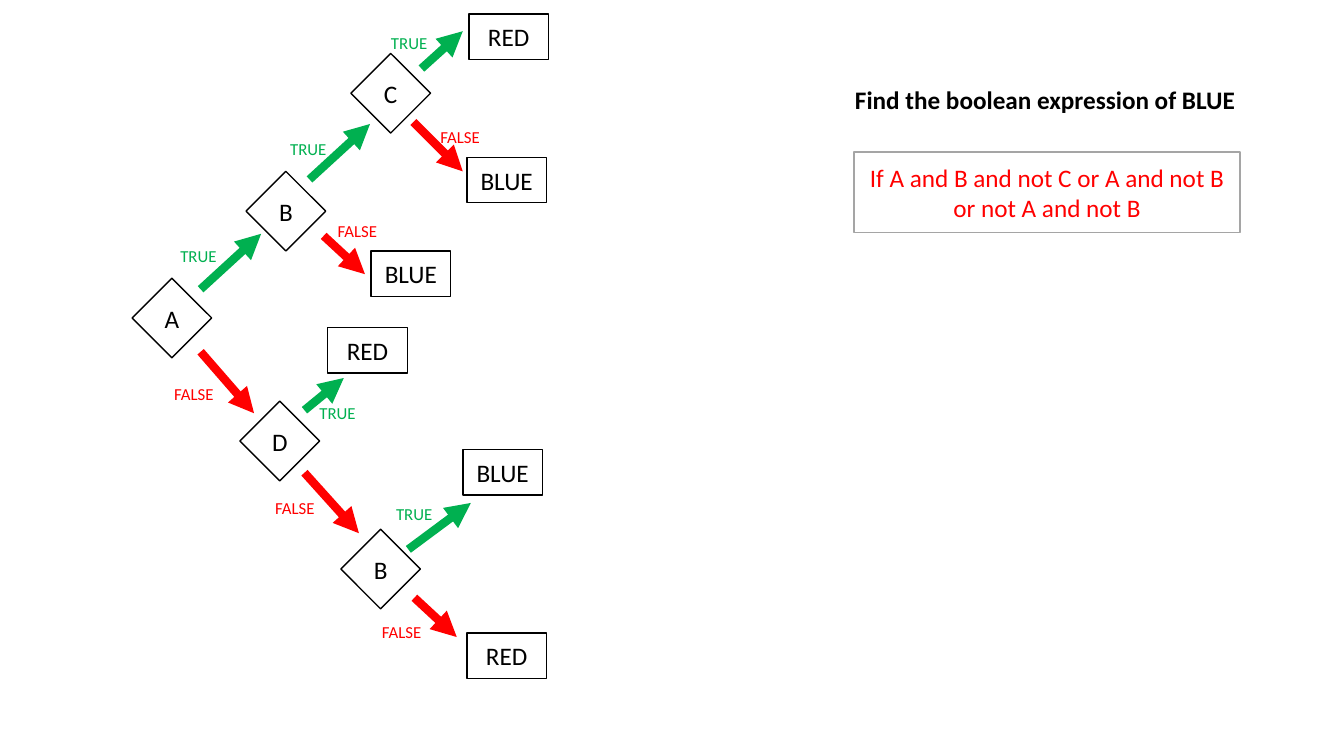
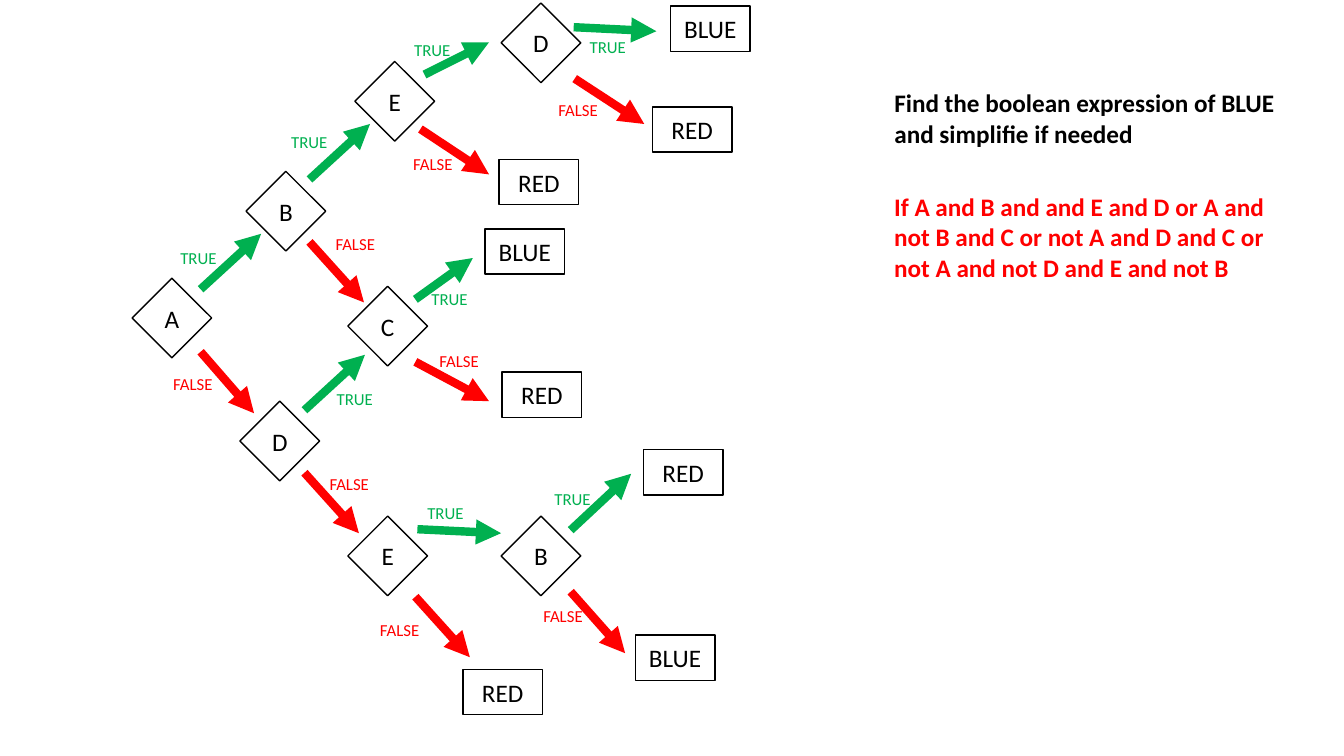
from lxml import etree
from pptx import Presentation
from pptx.dml.color import RGBColor
from pptx.enum.shapes import MSO_CONNECTOR, MSO_SHAPE
from pptx.enum.text import MSO_ANCHOR, MSO_AUTO_SIZE, PP_ALIGN
from pptx.oxml.ns import qn
from pptx.util import Inches, Pt

DIAMOND, BOX = MSO_SHAPE.FLOWCHART_DECISION, MSO_SHAPE.RECTANGLE
STRAIGHT = MSO_CONNECTOR.STRAIGHT
LEFT, CENTER = PP_ALIGN.LEFT, PP_ALIGN.CENTER
TOP, MIDDLE = MSO_ANCHOR.TOP, MSO_ANCHOR.MIDDLE
TITLE_ONLY = 5

FONT = "Calibri"
COLORS = {"ink": "000000", "true": "00B050", "false": "FF0000",
          "answer": "FF0000", "paper": "FFFFFF", "frame": "A5A5A5"}
DIAMOND_SIZE = (0.79, 0.79)
BOX_SIZE = (0.79, 0.45)
LABEL_SIZES = {"true": (0.57, 0.3), "false": (0.66, 0.3)}

# The start of the tree, common to both exercises
TRUNK_DECISIONS = [("A", 1.31, 2.76), ("B", 2.44, 1.7), ("D", 2.38, 3.98)]
A_TRUE = (1.99, 2.87, 2.59, 2.32)
A_FALSE = (1.99, 3.49, 2.52, 4.1)
B_TRUE = (3.07, 1.78, 3.67, 1.23)
D_FALSE = (3.02, 4.69, 3.56, 5.29)

# decisions and results: text, left, top
# branches: truth value, arrow (x1, y1, x2, y2), label (left, top)
EXERCISES = [
    {
        "question": "Find the boolean expression of BLUE",
        "question_at": (8.38, 0.79, 4, 0.4),
        "question_wrap": False,
        "answer": "If A and B and not C or A and not B or not A and not B",
        "answer_at": (8.47, 1.51, 3.83, 0.8),
        "framed": True,
        "decisions": [("C", 3.48, 0.53), ("B", 3.38, 5.25)],
        "results": [("RED", 4.65, 0.14), ("BLUE", 4.63, 1.56),
                    ("BLUE", 3.68, 2.49), ("RED", 3.25, 3.25),
                    ("BLUE", 4.59, 4.46), ("RED", 4.63, 6.28)],
        "branches": [
            ("true", A_TRUE, (1.69, 2.39)),
            ("false", A_FALSE, (1.63, 3.76)),
            ("true", B_TRUE, (2.78, 1.33)),
            ("false", (3.21, 2.34, 3.62, 2.72), (3.25, 2.14)),
            ("true", (4.18, 0.68, 4.59, 0.31), (3.78, 0.28)),
            ("false", (4.1, 1.21, 4.59, 1.7), (4.27, 1.21)),
            ("true", (3.02, 4.07, 3.41, 3.75), (3.07, 3.95)),
            ("false", D_FALSE, (2.63, 4.89)),
            ("true", (4.05, 5.45, 4.67, 4.99), (3.83, 4.95)),
            ("false", (4.11, 5.93, 4.53, 6.32), (3.69, 6.12)),
        ],
    },
    {
        "question": "Find the boolean expression of BLUE and simplifie if needed",
        "question_at": (8.77, 0.82, 4.19, 0.71),
        "question_wrap": True,
        "answer": "If A and B and and E and D or A and not B and C or "
                  "not A and D and C or not A and not D and E and not B",
        "answer_at": (8.77, 1.85, 4.19, 1.01),
        "framed": False,
        "decisions": [("E", 3.52, 0.61), ("D", 4.97, 0.03), ("C", 3.45, 2.84),
                      ("E", 3.45, 5.12), ("B", 4.97, 5.12)],
        "results": [("BLUE", 6.65, 0.06), ("RED", 6.47, 1.06),
                    ("RED", 4.95, 1.58), ("BLUE", 4.81, 2.27),
                    ("RED", 4.98, 3.69), ("RED", 6.38, 4.46),
                    ("BLUE", 6.3, 6.3), ("RED", 4.59, 6.64)],
        "branches": [
            ("true", A_TRUE, (1.69, 2.41)),
            ("false", A_FALSE, (1.62, 3.66)),
            ("true", B_TRUE, (2.79, 1.26)),
            ("false", (3.07, 2.4, 3.61, 3), (3.23, 2.27)),
            ("true", (4.21, 0.74, 4.85, 0.42), (4.01, 0.35)),
            ("false", (4.17, 1.28, 4.85, 1.73), (4, 1.48)),
            ("true", (5.69, 0.27, 6.51, 0.31), (5.75, 0.32)),
            ("false", (5.7, 0.78, 6.39, 1.23), (5.44, 0.94)),
            ("true", (4.12, 2.97, 4.69, 2.56), (4.18, 2.82)),
            ("false", (4.12, 3.59, 4.85, 3.98), (4.26, 3.43)),
            ("true", (3.02, 4.07, 3.62, 3.52), (3.24, 3.81)),
            ("false", D_FALSE, (3.17, 4.65)),
            ("true", (4.14, 5.25, 4.97, 5.29), (4.14, 4.94)),
            ("false", (4.12, 5.92, 4.66, 6.52), (3.67, 6.1)),
            ("true", (5.66, 5.26, 6.26, 4.7), (5.4, 4.8)),
            ("false", (5.66, 5.87, 6.2, 6.48), (5.29, 5.96)),
        ],
    },
]


def rgb(name):
    return RGBColor.from_string(COLORS[name])


def inches(lengths):
    return [Inches(n) for n in lengths]


def write(sp, text, size=18, color="ink", bold=False, align=LEFT,
          anchor=TOP, wrap=True):
    tf = sp.text_frame
    tf.auto_size = MSO_AUTO_SIZE.NONE
    tf.word_wrap = wrap
    tf.vertical_anchor = anchor
    p = tf.paragraphs[0]
    p.alignment = align
    r = p.add_run()
    r.text = text
    r.font.name, r.font.size, r.font.bold = FONT, Pt(size), bold
    r.font.color.rgb = rgb(color)


def add_outlined(s, kind, at, text, color="ink", line="ink", fill=None):
    sp = s.shapes.add_shape(kind, *inches(at))
    sp.shadow.inherit = False
    if fill:
        sp.fill.solid()
        sp.fill.fore_color.rgb = rgb(fill)
    else:
        sp.fill.background()
    sp.line.color.rgb = rgb(line)
    sp.line.width = Pt(1)
    write(sp, text, color=color, align=CENTER, anchor=MIDDLE)


def add_text(s, at, text, **fmt):
    write(s.shapes.add_textbox(*inches(at)), text, **fmt)


def add_arrow(s, ends, color):
    c = s.shapes.add_connector(STRAIGHT, *inches(ends))
    c.line.color.rgb = rgb(color)
    c.line.width = Pt(6)
    etree.SubElement(c.line._get_or_add_ln(), qn("a:tailEnd"), type="triangle")
    etree.SubElement(c._element.spPr, qn("a:effectLst"))


def add_question(s, at, text, wrap):
    title = s.shapes.title
    title.left, title.top, title.width, title.height = inches(at)
    write(title, text, bold=True, wrap=wrap)


def add_exercise(prs, ex):
    s = prs.slides.add_slide(prs.slide_layouts[TITLE_ONLY])
    add_question(s, ex["question_at"], ex["question"], ex["question_wrap"])
    for text, x, y in TRUNK_DECISIONS + ex["decisions"]:
        add_outlined(s, DIAMOND, (x, y, *DIAMOND_SIZE), text)
    for text, x, y in ex["results"]:
        add_outlined(s, BOX, (x, y, *BOX_SIZE), text)
    for truth, ends, _ in ex["branches"]:
        add_arrow(s, ends, truth)
    for truth, _, label in ex["branches"]:
        add_text(s, (*label, *LABEL_SIZES[truth]), truth.upper(),
                 size=12, color=truth, wrap=truth == "false")
    if ex["framed"]:
        add_outlined(s, BOX, ex["answer_at"], ex["answer"],
                     color="answer", line="frame", fill="paper")
    else:
        add_text(s, ex["answer_at"], ex["answer"], color="answer", bold=True)


def main():
    prs = Presentation()
    prs.slide_width, prs.slide_height = inches((13.33, 7.5))
    for ex in EXERCISES:
        add_exercise(prs, ex)
    prs.save("out.pptx")


if __name__ == "__main__":
    main()
